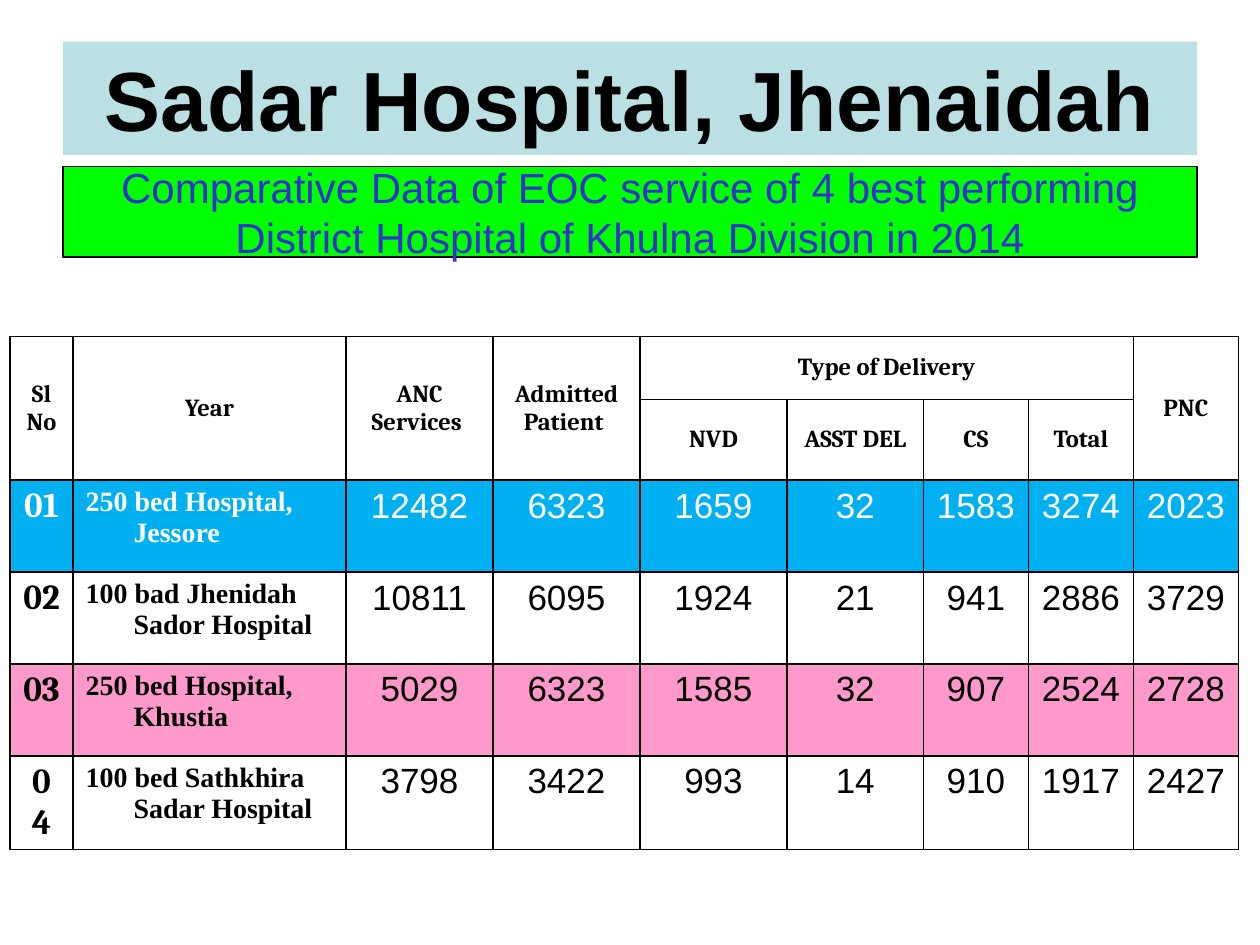
from dataclasses import dataclass

from lxml import etree
from pptx import Presentation
from pptx.dml.color import RGBColor
from pptx.enum.shapes import MSO_SHAPE
from pptx.enum.text import MSO_ANCHOR, PP_ALIGN
from pptx.oxml.ns import qn
from pptx.util import Inches, Pt

RECT = MSO_SHAPE.RECTANGLE
MIDDLE, TOP = MSO_ANCHOR.MIDDLE, MSO_ANCHOR.TOP
CENTER, LEFT = PP_ALIGN.CENTER, PP_ALIGN.LEFT


@dataclass(frozen=True)
class Theme:
    black: str = "000000"
    white: str = "FFFFFF"
    pale: str = "BBE0E3"
    green: str = "00FF00"
    indigo: str = "3333CC"
    blue: str = "00B0F0"
    pink: str = "FF99CC"
    sans: str = "Arial"
    head: str = "Cambria"
    serif: str = "Times New Roman"
    title: int = 48
    sub: int = 24
    label: int = 14
    name: int = 16
    value: int = 20
    edge: float = 0.75
    rule: float = 1


T = Theme()
COLS = [6, 26, 14, 14, 14, 13, 10, 10, 10]
ROWS = [50, 64, 73, 73, 73, 73]
HEADS = [
    (0, 0, 1, 0, "Sl No"),
    (0, 1, 1, 1, "Year"),
    (0, 2, 1, 2, "ANC Services "),
    (0, 3, 1, 3, "Admitted Patient "),
    (0, 4, 0, 7, "Type of Delivery"),
    (0, 8, 1, 8, "PNC"),
    (1, 4, 1, 4, "NVD"),
    (1, 5, 1, 5, "ASST DEL"),
    (1, 6, 1, 6, "CS"),
    (1, 7, 1, 7, "Total"),
]
DATA = [
    (T.blue, T.white, "01", "250 bed Hospital, Jessore",
     [12482, 6323, 1659, 32, 1583, 3274, 2023]),
    (None, T.black, "02", "100 bad Jhenidah Sador Hospital",
     [10811, 6095, 1924, 21, 941, 2886, 3729]),
    (T.pink, T.black, "03", "250 bed Hospital, Khustia",
     [5029, 6323, 1585, 32, 907, 2524, 2728]),
    (T.white, T.black, "04", "100 bed Sathkhira Sadar Hospital",
     [3798, 3422, 993, 14, 910, 1917, 2427]),
]


def write(frame, text, font, size, color, bold=False, align=CENTER):
    para = frame.paragraphs[0]
    para.alignment = align
    run = para.add_run()
    run.text = text
    run.font.name = font
    run.font.size = Pt(size)
    run.font.bold = bold
    run.font.color.rgb = RGBColor.from_string(color)
    return para


def paint(fill, color):
    if color:
        fill.solid()
        fill.fore_color.rgb = RGBColor.from_string(color)
    else:
        fill.background()


def banner(slide, box, text, fill, size, color, bold=False, edge=None):
    shape = slide.shapes.add_shape(RECT, *box)
    shape.shadow.inherit = False
    paint(shape.fill, fill)
    paint(shape.line.fill, edge)
    if edge:
        shape.line.width = Pt(T.edge)
    frame = shape.text_frame
    frame.word_wrap = True
    frame.vertical_anchor = MIDDLE
    write(frame, text, T.sans, size, color, bold)


def border(cell):
    props = cell._tc.get_or_add_tcPr()
    for side in ("lnL", "lnR", "lnT", "lnB"):
        line = etree.SubElement(props, qn(f"a:{side}"), w=str(Pt(T.rule)))
        solid = etree.SubElement(line, qn("a:solidFill"))
        etree.SubElement(solid, qn("a:srgbClr"), val=T.black)


def header(table):
    for row, col, last, end, text in HEADS:
        cell = table.cell(row, col)
        if (row, col) != (last, end):
            cell.merge(table.cell(last, end))
        cell.vertical_anchor = MIDDLE
        write(cell.text_frame, text, T.head, T.label, T.black, True)


def record(cells, color, code, name, values):
    write(cells[0].text_frame, code, T.head, T.value, color, True)
    para = write(cells[1].text_frame, name, T.serif, T.name, color, True, LEFT)
    props = para._p.get_or_add_pPr()
    props.set("marL", str(Inches(0.38)))
    props.set("indent", str(-Inches(0.38)))
    for cell, value in zip(cells[2:], values):
        write(cell.text_frame, str(value), T.sans, T.value, color)


def grid(slide, box):
    table = slide.shapes.add_table(len(ROWS), len(COLS), *box).table
    table.first_row = table.horz_banding = False
    for col, share in zip(table.columns, COLS):
        col.width = round(box[2] * share / sum(COLS))
    for row, share in zip(table.rows, ROWS):
        row.height = round(box[3] * share / sum(ROWS))
    fills = [None, None] + [item[0] for item in DATA]
    for row, fill in zip(table.rows, fills):
        for cell in row.cells:
            border(cell)
            paint(cell.fill, fill)
            cell.vertical_anchor = TOP
    header(table)
    for index, item in enumerate(DATA, 2):
        record(list(table.rows[index].cells), *item[1:])


def main():
    deck = Presentation()
    deck.slide_width, deck.slide_height = Inches(10), Inches(7.5)
    slide = deck.slides.add_slide(deck.slide_layouts[6])

    def area(*sides):
        return [Inches(side) for side in sides]

    banner(slide, area(0.5, 0.33, 9, 0.9), "Sadar Hospital, Jhenaidah",
           T.pale, T.title, T.black, True)
    grid(slide, area(0.08, 2.67, 9.75, 4.06))
    banner(slide, area(0.5, 1.32, 9, 0.72),
           "Comparative Data of EOC service of 4 best performing "
           "District Hospital of Khulna Division in 2014",
           T.green, T.sub, T.indigo, edge=T.black)
    deck.save("out.pptx")


if __name__ == "__main__":
    main()
